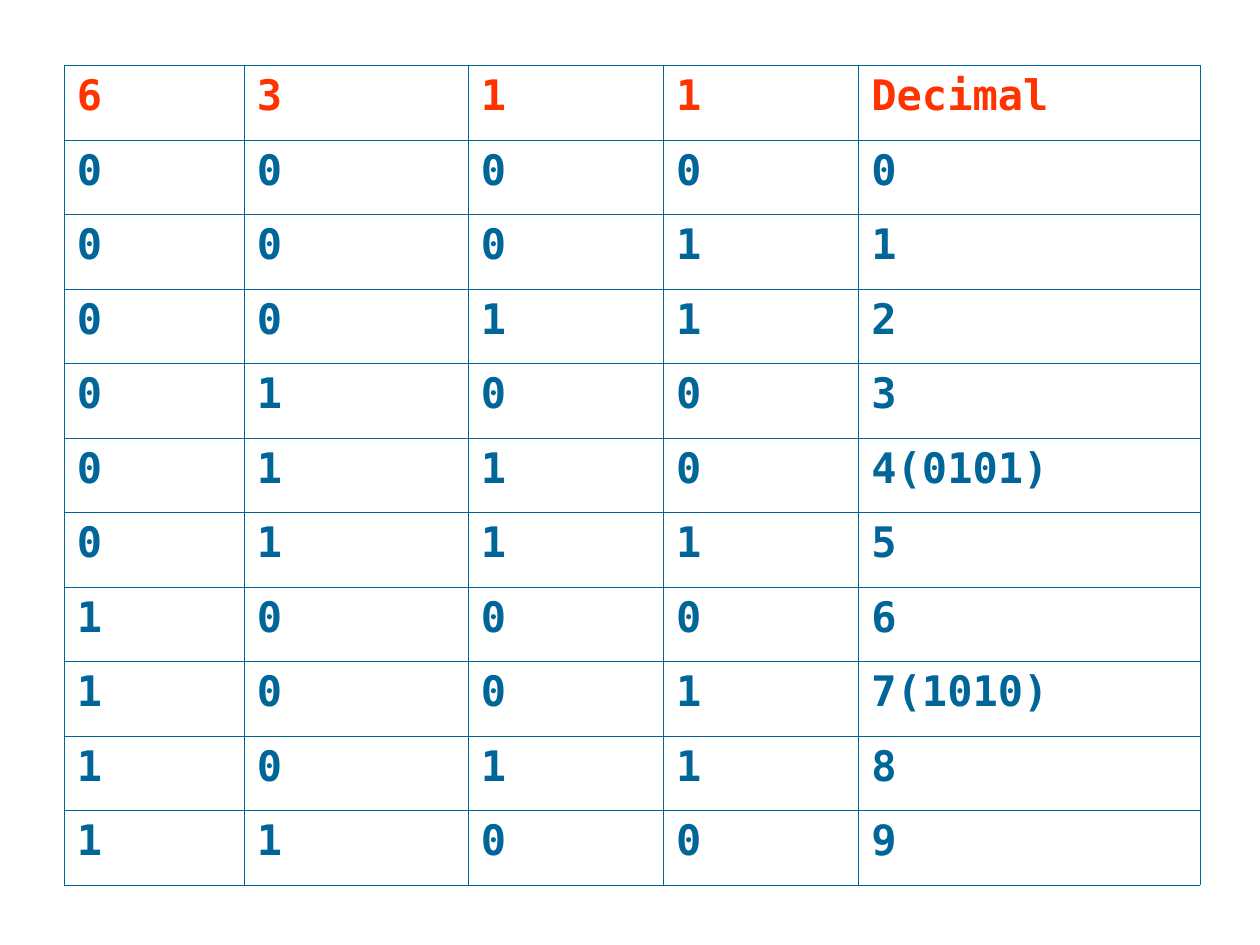
"""Build a slide with the table of the 6-3-1-1 weighted decimal code."""
from lxml.etree import SubElement
from pptx import Presentation
from pptx.dml.color import RGBColor
from pptx.oxml.ns import qn
from pptx.util import Pt

HEADINGS = ["6", "3", "1", "1", "Decimal"]
CODES = [
    ("0000", "0"),
    ("0001", "1"),
    ("0011", "2"),
    ("0100", "3"),
    ("0110", "4(0101)"),
    ("0111", "5"),
    ("1000", "6"),
    ("1001", "7(1010)"),
    ("1011", "8"),
    ("1100", "9"),
]
COLORS = {"heading": "FF3300", "body": "006699", "border": "006699"}
FONT = "DejaVu Sans Mono"
FONT_SIZE = 24
BORDER_WIDTH = 0.45
LEFT, TOP = 36.8, 37.4
COLUMN_WIDTHS = [102.8, 128, 111.6, 111.6, 195]
ROW_HEIGHT = 42.6


def add_borders(cell):
    """Draw a thin line on all four sides of a cell."""
    properties = cell._tc.get_or_add_tcPr()
    for side in ("a:lnL", "a:lnR", "a:lnT", "a:lnB"):
        line = SubElement(properties, qn(side), w=str(Pt(BORDER_WIDTH)))
        fill = SubElement(line, qn("a:solidFill"))
        SubElement(fill, qn("a:srgbClr"), val=COLORS["border"])


def fill_cell(cell, text, color):
    """Write one cell's text and set its look."""
    add_borders(cell)
    cell.fill.background()
    paragraph = cell.text_frame.paragraphs[0]
    paragraph.text = text
    font = paragraph.font
    font.name = FONT
    font.size = Pt(FONT_SIZE)
    font.bold = True
    font.color.rgb = RGBColor.from_string(color)


def add_code_table(page):
    """Add the table with a heading row and one row per digit."""
    rows = [HEADINGS] + [[*bits, decimal] for bits, decimal in CODES]
    frame = page.shapes.add_table(
        len(rows), len(HEADINGS), Pt(LEFT), Pt(TOP),
        Pt(sum(COLUMN_WIDTHS)), Pt(ROW_HEIGHT * len(rows)))
    table = frame.table
    table.first_row = False
    table.horz_banding = False
    for column, width in zip(table.columns, COLUMN_WIDTHS):
        column.width = Pt(width)
    for index, (row, texts) in enumerate(zip(table.rows, rows)):
        row.height = Pt(ROW_HEIGHT)
        color = COLORS["body" if index else "heading"]
        for cell, text in zip(row.cells, texts):
            fill_cell(cell, text, color)


def main():
    """Create the deck and save it."""
    deck = Presentation()
    deck.slide_width, deck.slide_height = Pt(720), Pt(540)
    page = deck.slides.add_slide(deck.slide_layouts[6])
    add_code_table(page)
    deck.save("out.pptx")


if __name__ == "__main__":
    main()
